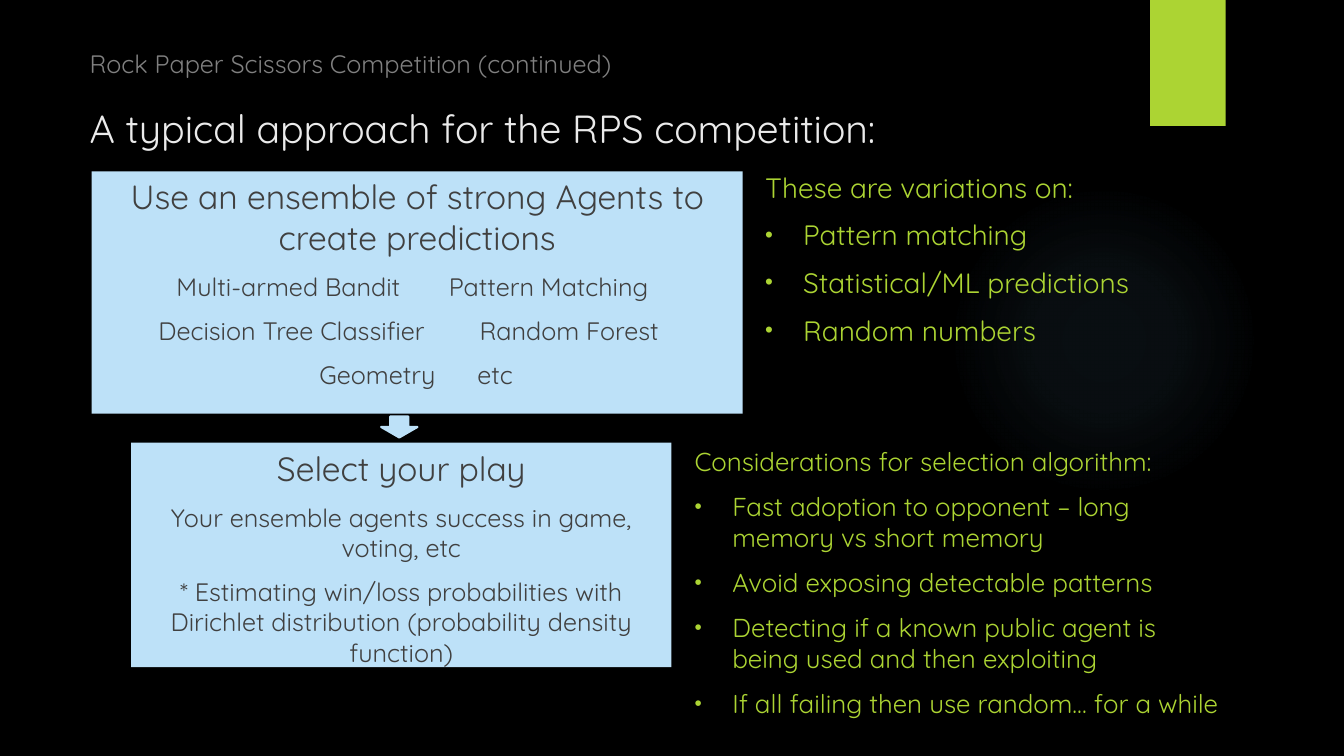
from pptx import Presentation
from pptx.dml.color import RGBColor
from pptx.enum.shapes import MSO_SHAPE as SHAPE
from pptx.enum.text import MSO_ANCHOR as ANCHOR, PP_ALIGN as ALIGN
from pptx.oxml import parse_xml
from pptx.oxml.ns import nsdecls
from pptx.util import Pt

BLACK, GRAY, WHITE, DARK = "000000", "808080", "EBEBEB", "404040"
GREEN, BLUE, GLOW = "ACD433", "BDE1F8", "7AC4F0"


def rgb(color):
    return RGBColor.from_string(color)


class SlideBuilder:
    font = "Quicksand"
    gap = 10
    indent = 27

    def __init__(self, slide):
        self.s = slide

    def background(self, color):
        fill = self.s.background.fill
        fill.solid()
        fill.fore_color.rgb = rgb(color)

    def shape(self, kind, box, color, line=None):
        sp = self.s.shapes.add_shape(kind, *map(Pt, box))
        sp.shadow.inherit = False
        sp.fill.solid()
        sp.fill.fore_color.rgb = rgb(color)
        if line:
            sp.line.color.rgb = rgb(color)
            sp.line.width = Pt(line)
        else:
            sp.line.fill.background()
        return sp

    def glow(self, box, color, stops):
        sp = self.shape(SHAPE.OVAL, box, color)
        gs = "".join(
            f'<a:gs pos="{pos * 1000}"><a:srgbClr val="{color}">'
            f'<a:alpha val="{alpha * 1000}"/></a:srgbClr></a:gs>'
            for pos, alpha in stops)
        grad = parse_xml(
            f'<a:gradFill {nsdecls("a")}><a:gsLst>{gs}</a:gsLst><a:path path="circle">'
            '<a:fillToRect l="50000" t="50000" r="50000" b="50000"/></a:path></a:gradFill>')
        solid = sp.fill._xPr.solidFill
        solid.getparent().replace(solid, grad)

    def paragraph(self, tf, text, size, color, align=ALIGN.LEFT):
        p = tf.paragraphs[0] if not tf.text else tf.add_paragraph()
        p.text = text
        p.alignment = align
        p.space_before = Pt(self.gap)
        for r in p.runs:
            r.font.size = Pt(size)
            r.font.name = self.font
            r.font.color.rgb = rgb(color)
        return p

    def bullet(self, p, color):
        pPr = p._p.get_or_add_pPr()
        pPr.set("marL", str(Pt(self.indent)))
        pPr.set("indent", str(-Pt(self.indent)))
        for xml in (f'<a:buClr {nsdecls("a")}><a:srgbClr val="{color}"/></a:buClr>',
                    f'<a:buSzPct {nsdecls("a")} val="80000"/>',
                    f'<a:buFont {nsdecls("a")} typeface="Arial"/>',
                    f'<a:buChar {nsdecls("a")} char="•"/>'):
            pPr.append(parse_xml(xml))

    def tab_stops(self, p, stops):
        tabs = "".join(f'<a:tab pos="{Pt(stop)}" algn="l"/>' for stop in stops)
        p._p.get_or_add_pPr().append(
            parse_xml(f'<a:tabLst {nsdecls("a")}>{tabs}</a:tabLst>'))

    def text(self, box, anchor=ANCHOR.TOP):
        tf = self.s.shapes.add_textbox(*map(Pt, box)).text_frame
        tf.word_wrap = True
        tf.vertical_anchor = anchor
        return tf

    def heading(self, box, text, size, color):
        self.paragraph(self.text(box, ANCHOR.BOTTOM), text, size, color)

    def bullets(self, box, lead, items, size):
        tf = self.text(box)
        self.paragraph(tf, lead, size, GREEN)
        for item in items:
            self.bullet(self.paragraph(tf, item, size, GREEN), GREEN)

    def panel(self, box, title):
        tf = self.shape(SHAPE.RECTANGLE, box, BLUE).text_frame
        tf.word_wrap = True
        tf.vertical_anchor = ANCHOR.TOP
        self.paragraph(tf, title, 24, DARK, ALIGN.CENTER)
        return tf


def main():
    prs = Presentation()
    prs.slide_width, prs.slide_height = Pt(960), Pt(540)
    b = SlideBuilder(prs.slides.add_slide(prs.slide_layouts[6]))

    # Backdrop
    b.background(BLACK)
    b.glow((677.5, 131.8, 221.8, 221.8), GLOW, [(0, 7), (36, 6), (69, 0)])
    b.shape(SHAPE.RECTANGLE, (821.5, 0, 54, 90), GREEN)

    # Headings
    b.heading((57, 21, 695, 39), "Rock Paper Scissors Competition (continued)", 18, GRAY)
    b.heading((57, 66, 671, 45.5), "A typical approach for the RPS competition:", 28, WHITE)

    # Remarks on the right
    b.bullets((539.5, 118, 300, 178.5), "These are variations on:",
              ["Pattern matching", "Statistical/ML predictions", "Random numbers"], 20)
    b.bullets((489, 314.6, 394, 206.6), "Considerations for selection algorithm:",
              ["Fast adoption to opponent – long memory vs short memory",
               "Avoid exposing detectable patterns",
               "Detecting if a known public agent is being used and then exploiting",
               "If all failing then use random… for a while"], 18.5)

    # Ensemble panel: agents in pairs, placed by tab stops
    tf = b.panel((65.5, 122.4, 465, 173),
                 "Use an ensemble of strong Agents to create predictions")
    for left, right, stops in [("Multi-armed Bandit", "Pattern Matching", (53.5, 248)),
                               ("Decision Tree Classifier", "Random Forest", (40.5, 270)),
                               ("Geometry", "etc", (155.5, 268.5))]:
        b.tab_stops(b.paragraph(tf, f"\t{left}\t{right}", 18, DARK), stops)

    # Selection panel
    tf = b.panel((93.6, 316.2, 386, 160.3), "Select your play")
    for line in ["Your ensemble agents success in game, voting, etc",
                 "* Estimating win/loss probabilities with Dirichlet distribution "
                 "(probability density function)"]:
        b.paragraph(tf, line, 18, DARK, ALIGN.CENTER)

    # Arrow between the panels
    b.shape(SHAPE.DOWN_ARROW, (272.2, 297.5, 26, 15), BLUE, line=1.5)

    prs.save("out.pptx")


if __name__ == "__main__":
    main()
